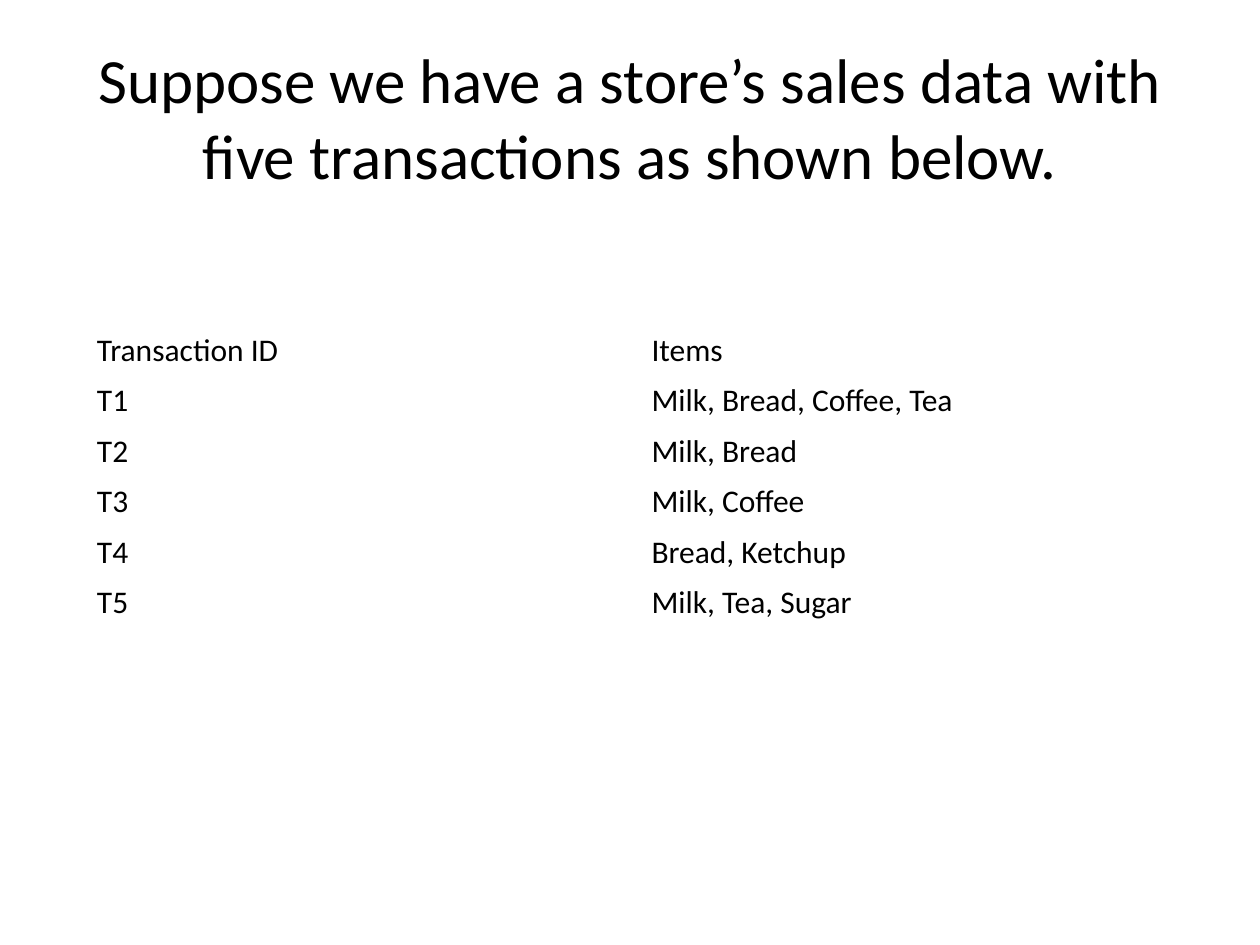
"""Build a slide that lists the five sales of a store."""
from typing import NamedTuple

from pptx import Presentation
from pptx.dml.color import RGBColor
from pptx.enum.text import MSO_ANCHOR, PP_ALIGN
from pptx.util import Cm, Pt

MIDDLE = MSO_ANCHOR.MIDDLE
LEFT, CENTER = PP_ALIGN.LEFT, PP_ALIGN.CENTER
FONT = "Calibri"
COLORS = {"text": "000000"}
TITLE = "Suppose we have a store’s sales data with five transactions as shown below."


class Sale(NamedTuple):
    label: str
    items: str


SALES = [
    Sale("Transaction ID", "Items"),
    Sale("T1", "Milk, Bread, Coffee, Tea"),
    Sale("T2", "Milk, Bread"),
    Sale("T3", "Milk, Coffee"),
    Sale("T4", "Bread, Ketchup"),
    Sale("T5", "Milk, Tea, Sugar"),
]


def write(frame, text: str, *, size: float = 18, color: str = "text", align=LEFT) -> None:
    para = frame.paragraphs[0]
    para.alignment = align
    run = para.add_run()
    run.text = text
    run.font.name = FONT
    run.font.size = Pt(size)
    run.font.color.rgb = RGBColor.from_string(COLORS[color])


def add_title(slide, text: str) -> None:
    frame = slide.shapes.add_textbox(Cm(1.27), Cm(0.76), Cm(22.86), Cm(3.18)).text_frame
    frame.word_wrap = True
    frame.vertical_anchor = MIDDLE
    write(frame, text, size=36, align=CENTER)


def add_sales(slide, sales: list[Sale]) -> None:
    cols = len(Sale._fields)
    table = slide.shapes.add_table(
        len(sales), cols, Cm(1.7), Cm(6.55), Cm(11.18) * cols, Cm(1) * len(sales)
    ).table
    table.first_row = table.horz_banding = False
    for row, sale in enumerate(sales):
        for col, text in enumerate(sale):
            cell = table.cell(row, col)
            cell.fill.background()
            cell.vertical_anchor = MIDDLE
            write(cell.text_frame, text)


def main() -> None:
    deck = Presentation()
    deck.slide_width, deck.slide_height = Cm(25.4), Cm(19.05)
    slide = deck.slides.add_slide(deck.slide_layouts[6])
    add_title(slide, TITLE)
    add_sales(slide, SALES)
    deck.save("out.pptx")


if __name__ == "__main__":
    main()
